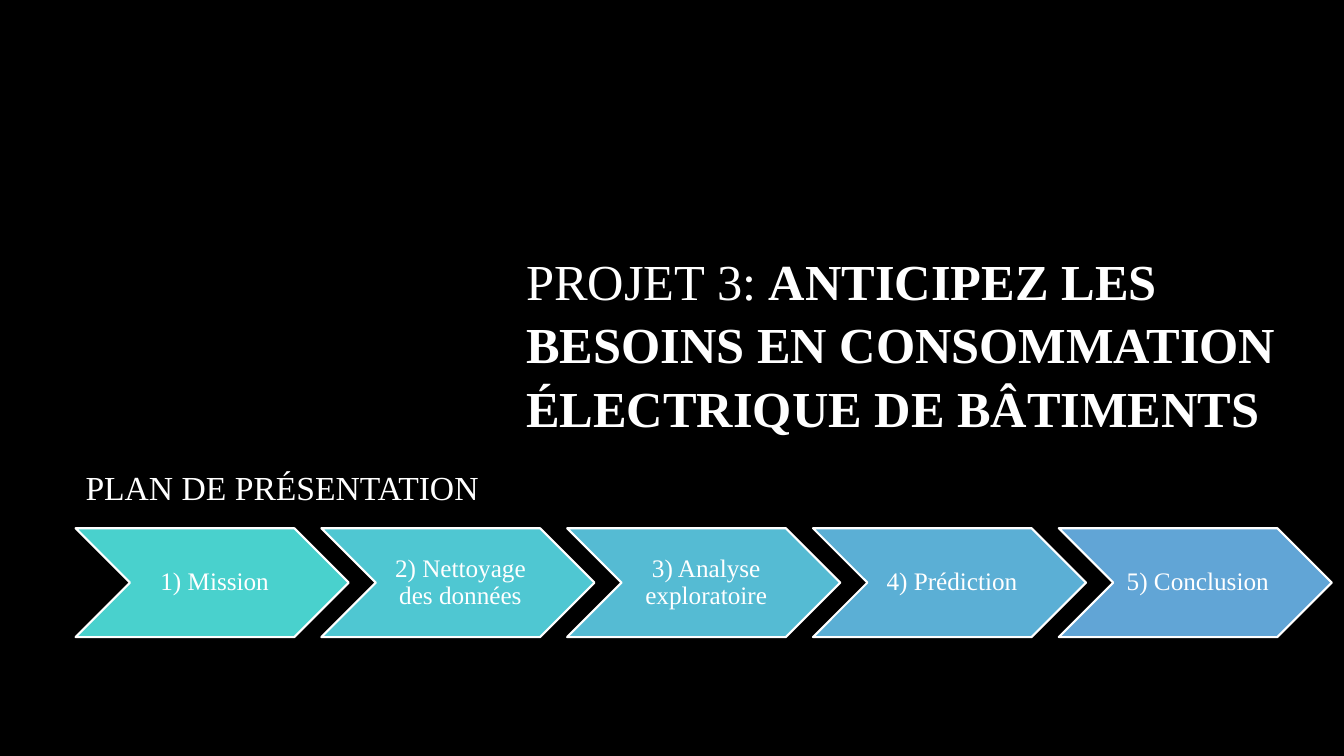
from pptx import Presentation
from pptx.dml.color import RGBColor
from pptx.enum.shapes import MSO_SHAPE as SHAPE
from pptx.enum.text import MSO_ANCHOR as ANCHOR, PP_ALIGN as ALIGN
from pptx.util import Inches, Pt

FONT = "Times New Roman"
WHITE = "FFFFFF"
STEPS = [
    ("1) Mission", "49D1CD"),
    ("2) Nettoyage des données", "4FC7D2"),
    ("3) Analyse exploratoire", "55BBD3"),
    ("4) Prédiction", "5BAFD5"),
    ("5) Conclusion", "61A5D6"),
]


def paint(color, value):
    """Set a colour format from a hex string."""
    color.rgb = RGBColor.from_string(value)


def style(p, size):
    """Apply the common white serif font to a paragraph."""
    p.font.name = FONT
    p.font.size = Pt(size)
    paint(p.font.color, WHITE)


def add_heading(slide, box, runs, size, spacing=1.0):
    """Write a wrapped, vertically centred heading of (text, bold) runs."""
    tf = slide.shapes.add_textbox(*map(Inches, box)).text_frame
    tf.word_wrap = True
    tf.vertical_anchor = ANCHOR.MIDDLE
    p = tf.paragraphs[0]
    p.line_spacing = spacing
    style(p, size)
    for text, bold in runs:
        r = p.add_run()
        r.text = text
        r.font.bold = bold


def add_chevron(slide, box, text, fill):
    """Draw one labelled step of the plan."""
    sp = slide.shapes.add_shape(SHAPE.CHEVRON, *map(Inches, box))
    sp.shadow.inherit = False
    sp.fill.solid()
    paint(sp.fill.fore_color, fill)
    paint(sp.line.color, WHITE)
    sp.line.width = Pt(1.5)
    tf = sp.text_frame
    tf.word_wrap = True
    tf.vertical_anchor = ANCHOR.MIDDLE
    tf.margin_left = Inches(0.08)
    tf.margin_right = tf.margin_top = tf.margin_bottom = Inches(0.03)
    p = tf.paragraphs[0]
    p.text = text
    p.alignment = ALIGN.CENTER
    p.line_spacing = 0.9
    style(p, 18)


def add_plan(slide, box, steps, overlap=0.1):
    """Spread chevrons over the box, each overlapping the next by a share of its width."""
    left, top, width, height = box
    step_w = width / (len(steps) - overlap * (len(steps) - 1))
    for i, (text, fill) in enumerate(steps):
        x = left + i * step_w * (1 - overlap)
        add_chevron(slide, (x, top, step_w, height), text, fill)


def main():
    """Build the opening slide with its title and plan."""
    prs = Presentation()
    prs.slide_width, prs.slide_height = Inches(13.33), Inches(7.5)
    slide = prs.slides.add_slide(prs.slide_layouts[6])
    slide.background.fill.solid()
    paint(slide.background.fill.fore_color, "000000")
    title = [
        ("PROJET 3: ", False),
        ("ANTICIPEZ LES BESOINS EN CONSOMMATION ÉLECTRIQUE DE BÂTIMENTS", True),
    ]
    add_heading(slide, (5.12, 1.83, 8.29, 3.13), title, 36, 1.05)
    add_heading(slide, (0.75, 4.52, 4.37, 0.63), [("PLAN DE PRÉSENTATION", False)], 24)
    add_plan(slide, (0.75, 5.24, 12.46, 1.08), STEPS)
    prs.save("out.pptx")


if __name__ == "__main__":
    main()
